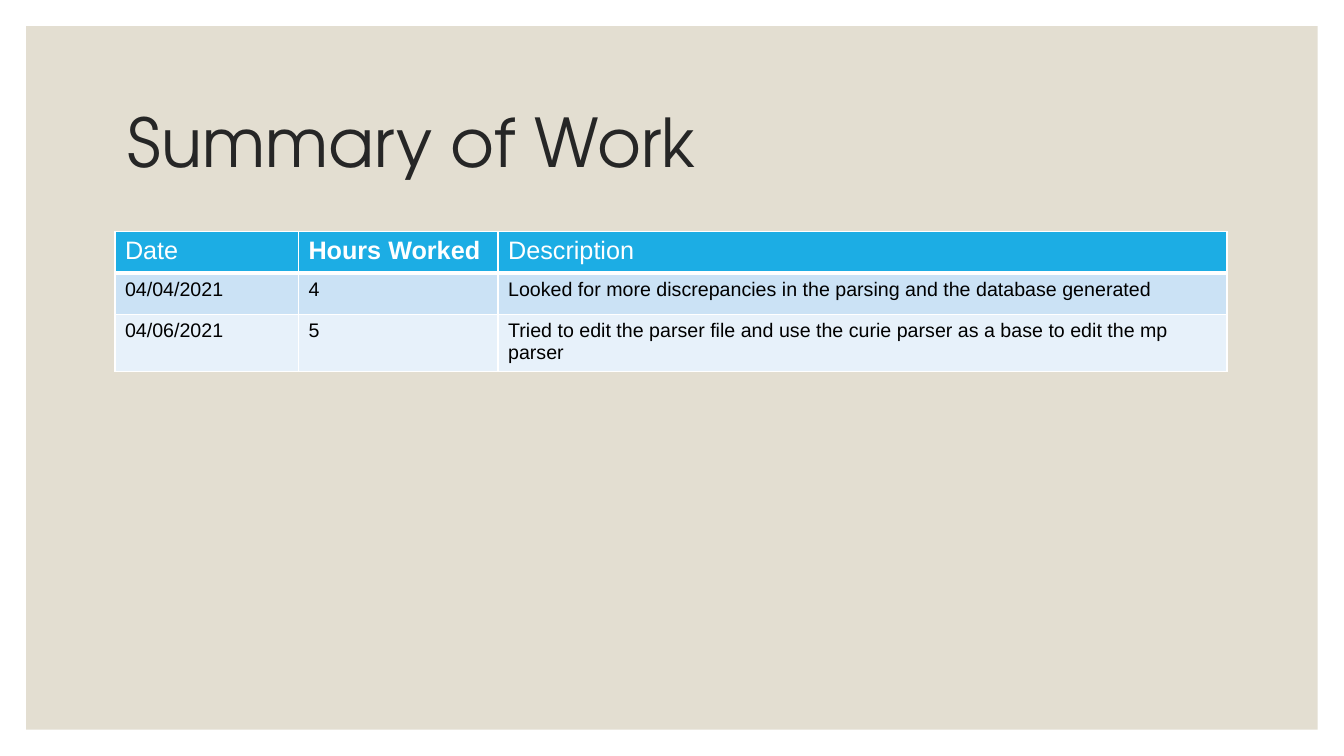
"""Build the work summary slide with its table of hours."""
from lxml import etree
from pptx import Presentation
from pptx.dml.color import RGBColor
from pptx.enum import shapes, text
from pptx.oxml.ns import qn
from pptx.util import Inches, Pt

TITLE = "Summary of Work"
ROWS = [
    ("Date", "Hours Worked", "Description"),
    ("04/04/2021", "4", "Looked for more discrepancies in the parsing and the database generated"),
    ("04/06/2021", "5", "Tried to edit the parser file and use the curie parser as a base to edit the mp parser"),
]
BOLD_HEADING = "Hours Worked"
COLUMN_WIDTHS = (1.82, 1.98, 7.23)
ROW_HEIGHT = 0.41
SLIDE_SIZE = (13.33, 7.5)
MARGIN = 0.26

THEME = {
    "title_font": "TeX Gyre Adventor", "body_font": "Arial",
    "title_size": 48, "heading_size": 18, "body_size": 14,
    "panel": "E3DED1", "title": "262626", "heading": "FFFFFF", "body": "000000",
    "border": "FFFFFF", "border_width": 1, "heading_rule": 3,
    "row_fills": ("1CADE4", "CBE2F5", "E7F1FA"),
}


def style_run(run, font, size, color, bold=False):
    run.font.name = font
    run.font.size = Pt(size)
    run.font.bold = bold
    run.font.color.rgb = RGBColor.from_string(color)


def set_borders(cell, top, bottom):
    properties = cell._tc.get_or_add_tcPr()
    side = THEME["border_width"]
    widths = {"a:lnL": side, "a:lnR": side, "a:lnT": top, "a:lnB": bottom}
    for position, (tag, width) in enumerate(widths.items()):
        line = etree.Element(qn(tag), w=str(Pt(width)))
        fill = etree.SubElement(line, qn("a:solidFill"))
        etree.SubElement(fill, qn("a:srgbClr"), val=THEME["border"])
        properties.insert(position, line)


def add_panel(slide):
    width, height = (Inches(length - 2 * MARGIN) for length in SLIDE_SIZE)
    panel = slide.shapes.add_shape(
        shapes.MSO_SHAPE.RECTANGLE, Inches(MARGIN), Inches(MARGIN), width, height)
    panel.shadow.inherit = False
    panel.fill.solid()
    panel.fill.fore_color.rgb = RGBColor.from_string(THEME["panel"])
    panel.line.fill.background()


def add_title(slide):
    title = slide.shapes.add_textbox(Inches(1.17), Inches(0.7), Inches(11), Inches(1.5))
    frame = title.text_frame
    frame.word_wrap = True
    frame.vertical_anchor = text.MSO_ANCHOR.MIDDLE
    frame.text = TITLE
    paragraph = frame.paragraphs[0]
    paragraph.line_spacing = 0.9
    style_run(paragraph.runs[0], THEME["title_font"], THEME["title_size"], THEME["title"])


def add_work_table(slide):
    table = slide.shapes.add_table(
        len(ROWS), len(COLUMN_WIDTHS), Inches(1.14), Inches(2.3),
        Inches(sum(COLUMN_WIDTHS)), Inches(ROW_HEIGHT * len(ROWS))).table
    for column, width in zip(table.columns, COLUMN_WIDTHS):
        column.width = Inches(width)
    for row_index, (row, values) in enumerate(zip(table.rows, ROWS)):
        row.height = Inches(ROW_HEIGHT)
        kind = "body" if row_index else "heading"
        top = THEME["heading_rule" if row_index == 1 else "border_width"]
        bottom = THEME["border_width" if row_index else "heading_rule"]
        for cell, value in zip(row.cells, values):
            cell.text_frame.text = value
            style_run(cell.text_frame.paragraphs[0].runs[0], THEME["body_font"],
                      THEME[f"{kind}_size"], THEME[kind], value == BOLD_HEADING)
            cell.fill.solid()
            cell.fill.fore_color.rgb = RGBColor.from_string(THEME["row_fills"][row_index])
            set_borders(cell, top, bottom)


def main():
    presentation = Presentation()
    presentation.slide_width, presentation.slide_height = map(Inches, SLIDE_SIZE)
    slide = presentation.slides.add_slide(presentation.slide_layouts[6])
    add_panel(slide)
    add_title(slide)
    add_work_table(slide)
    presentation.save("out.pptx")


if __name__ == "__main__":
    main()
